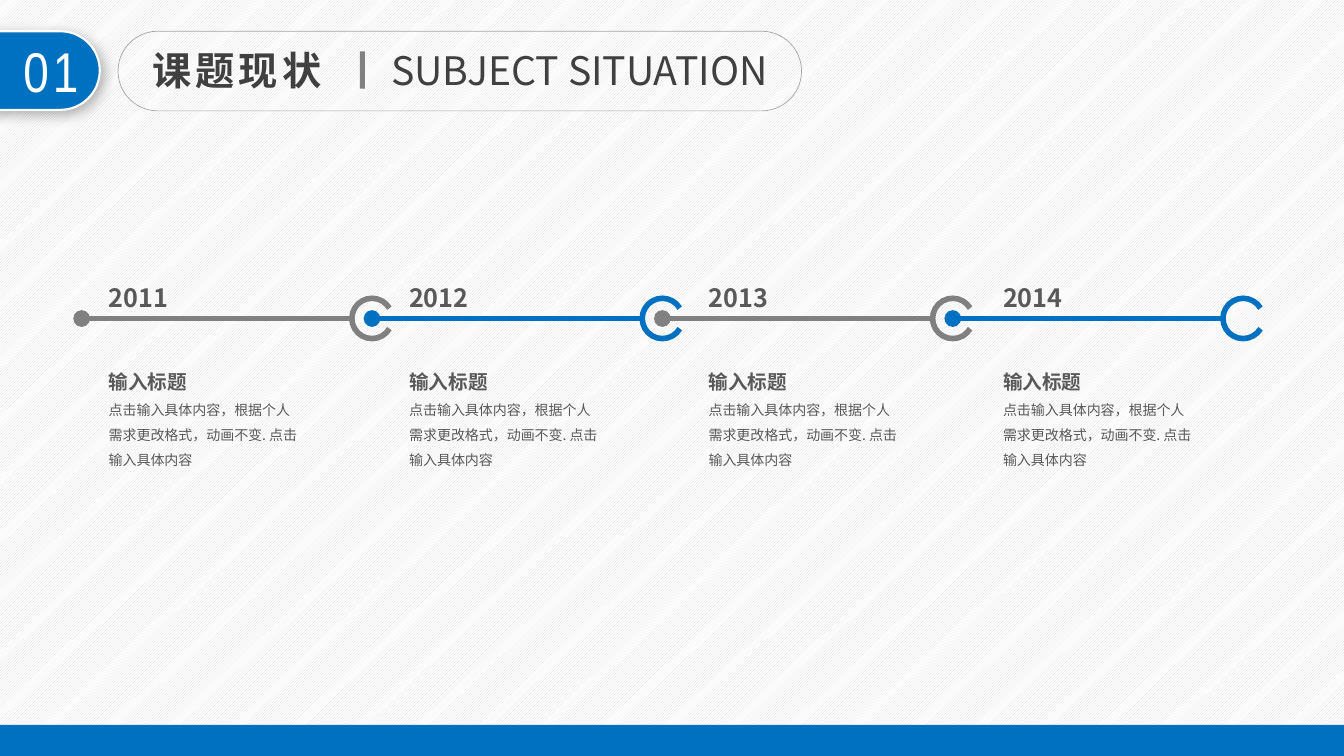
"""Build a four-year timeline slide with a numbered heading."""
from dataclasses import dataclass

from lxml import etree
from pptx import Presentation
from pptx.dml.color import RGBColor
from pptx.enum.dml import MSO_PATTERN
from pptx.enum.shapes import MSO_CONNECTOR, MSO_SHAPE
from pptx.enum.text import MSO_AUTO_SIZE, PP_ALIGN
from pptx.oxml.ns import qn
from pptx.util import Inches, Pt

ARC, RECT, ROUND = MSO_SHAPE.ARC, MSO_SHAPE.RECTANGLE, MSO_SHAPE.ROUNDED_RECTANGLE
STRAIGHT = MSO_CONNECTOR.STRAIGHT
HATCH = MSO_PATTERN.LIGHT_UPWARD_DIAGONAL
GROW = MSO_AUTO_SIZE.SHAPE_TO_FIT_TEXT
LEFT, CENTER = PP_ALIGN.LEFT, PP_ALIGN.CENTER

YEARS = [("2011", 0.98), ("2012", 3.96), ("2013", 6.93), ("2014", 9.85)]
TITLE = "输入标题"
BODY = "点击输入具体内容，根据个人需求更改格式，动画不变. 点击输入具体内容"
START, STEP, AXIS, RING = 0.81, 2.88, 3.16, 0.4


@dataclass(frozen=True)
class Theme:
    """Colours, fonts and type sizes of the slide."""
    blue: str = "0070C0"
    gray: str = "808080"
    rim: str = "A6A6A6"
    hatch: str = "D9D9D9"
    white: str = "FFFFFF"
    dark: str = "404040"
    text: str = "595959"
    sans: str = "Noto Sans CJK SC"
    slim: str = "Arial Narrow"
    number: int = 40
    head: int = 28
    year: int = 18
    title: int = 14
    body: int = 10
    stroke: int = 4


class Deck:
    """Holds the theme and the current slide and draws each kind of element."""

    def __init__(self, theme, slide):
        self.theme = theme
        self.slide = slide

    def ground(self):
        """Fill the background with a fine diagonal hatch."""
        fill = self.slide.background.fill
        fill.patterned()
        fill.pattern = HATCH
        fill.fore_color.rgb = RGBColor.from_string(self.theme.hatch)
        fill.back_color.rgb = RGBColor.from_string(self.theme.white)

    def shape(self, kind, box, fill=None, line=None, width=1, adjust=()):
        """Add a preset shape without a shadow."""
        shape = self.slide.shapes.add_shape(kind, *map(Inches, box))
        shape.shadow.inherit = False
        if fill:
            shape.fill.solid()
            shape.fill.fore_color.rgb = RGBColor.from_string(fill)
        else:
            shape.fill.background()
        if line:
            shape.line.color.rgb = RGBColor.from_string(line)
            shape.line.width = Pt(width)
        else:
            shape.line.fill.background()
        for index, value in enumerate(adjust):
            shape.adjustments[index] = value
        return shape

    def shade(self, shape):
        """Give a shape a soft shadow to the lower right."""
        effects = shape._element.spPr.find(qn("a:effectLst"))
        outer = etree.SubElement(
            effects, qn("a:outerShdw"), blurRad=str(Pt(10)), dist=str(Pt(4)),
            dir="2700000", algn="tl", rotWithShape="0")
        color = etree.SubElement(outer, qn("a:srgbClr"), val="000000")
        etree.SubElement(color, qn("a:alpha"), val="30000")

    def line(self, left, right, top, color):
        """Add a level line that starts with a dot."""
        line = self.slide.shapes.add_connector(
            STRAIGHT, Inches(left), Inches(top), Inches(right), Inches(top))
        line.line.color.rgb = RGBColor.from_string(color)
        line.line.width = Pt(self.theme.stroke)
        props = line._element.spPr
        etree.SubElement(props.find(qn("a:ln")), qn("a:headEnd"), type="oval")
        etree.SubElement(props, qn("a:effectLst"))

    def text(self, box, items, color, face=None, wrap=True, align=LEFT,
             space=None, track=0):
        """Add a text box with one paragraph per (words, size, bold) item."""
        face = face or self.theme.sans
        frame = self.slide.shapes.add_textbox(*map(Inches, box)).text_frame
        frame.word_wrap = wrap
        frame.auto_size = GROW
        for index, (words, size, bold) in enumerate(items):
            para = frame.add_paragraph() if index else frame.paragraphs[0]
            para.text = words
            para.alignment = align
            para.line_spacing = space
            font = para.font
            font.size, font.bold, font.name = Pt(size), bold, face
            font.color.rgb = RGBColor.from_string(color)
            props = para._p.pPr.find(qn("a:defRPr"))
            etree.SubElement(props, qn("a:ea"), typeface=face)
            if track:
                props.set("spc", str(track * 100))

    def stage(self, index, year, left):
        """Add one year of the timeline with its line, ring and text."""
        look = self.theme
        color = look.blue if index % 2 else look.gray
        start = START + index * STEP
        end = start + 2.68
        self.line(start, end, AXIS, color)
        self.shape(ARC, (end, AXIS - RING / 2, RING, RING), line=color,
                   width=look.stroke, adjust=(18.21, 197.52))
        self.text((left, 2.75, 0.83, 0.4), [(year, look.year, True)],
                  look.text, wrap=False)
        self.text((left, 3.5, 2.1, 1.21),
                  [(TITLE, look.title, True), (BODY, look.body, False)],
                  look.text, space=1.5)

    def header(self):
        """Add the numbered tab and the heading in its outline."""
        look = self.theme
        tab = self.shape(ROUND, (-1.12, 0.31, 2.11, 0.78), look.blue,
                         look.white, 1.5, (0.5,))
        self.shade(tab)
        self.text((0.02, 0.31, 0.97, 0.77), [("01", look.number, False)],
                  look.white, look.slim, align=CENTER, track=3)
        self.shape(ROUND, (1.17, 0.31, 6.78, 0.79), line=look.rim,
                   width=0.5, adjust=(0.5,))
        self.text((1.41, 0.41, 1.96, 0.57), [("课题现状", look.head, True)],
                  look.dark, track=3)
        self.shape(RECT, (3.57, 0.51, 0.05, 0.37), look.gray)
        self.text((3.78, 0.41, 4.02, 0.57),
                  [("SUBJECT SITUATION", look.head, False)],
                  look.dark, wrap=False)


def main():
    """Build and save the slide."""
    show = Presentation()
    show.slide_width, show.slide_height = Inches(13.33), Inches(7.5)
    deck = Deck(Theme(), show.slides.add_slide(show.slide_layouts[6]))
    deck.ground()
    for index, (year, left) in enumerate(YEARS):
        deck.stage(index, year, left)
    deck.header()
    deck.shape(RECT, (0, 7.19, 13.33, 0.31), deck.theme.blue)
    show.save("out.pptx")


if __name__ == "__main__":
    main()
